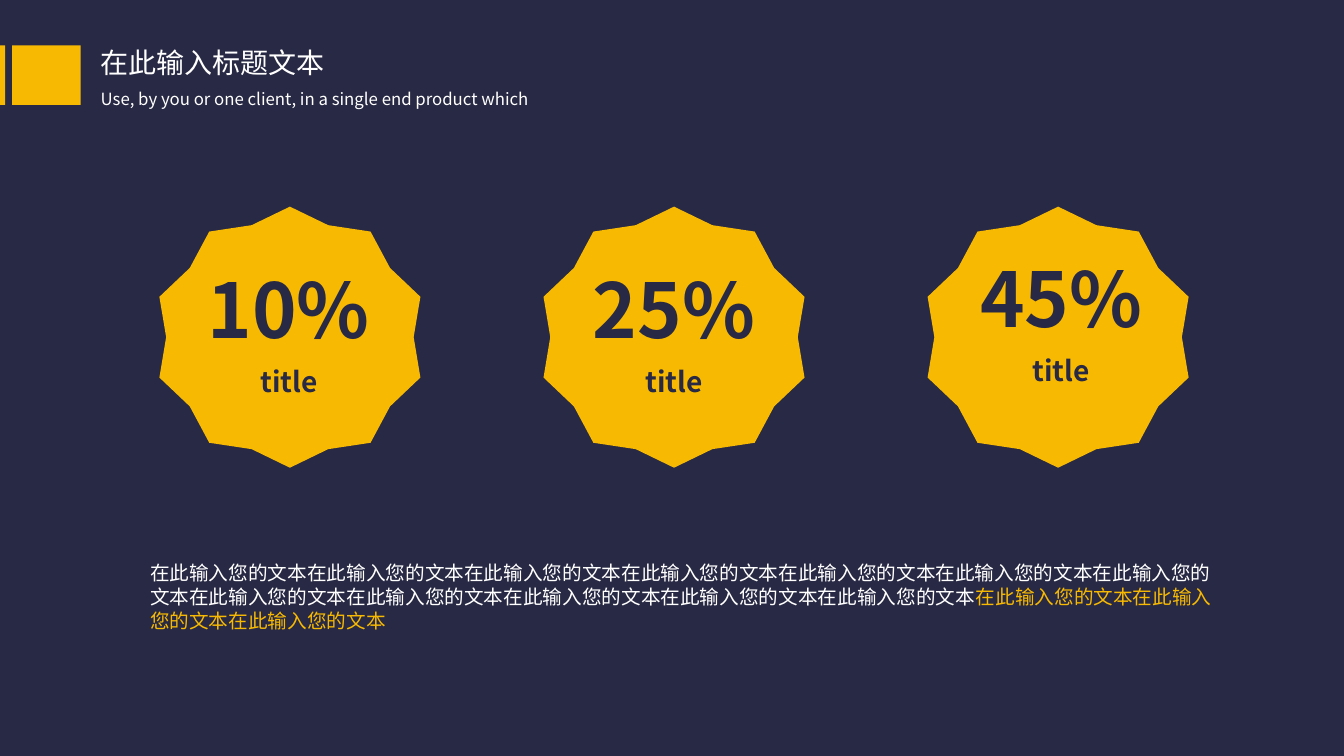
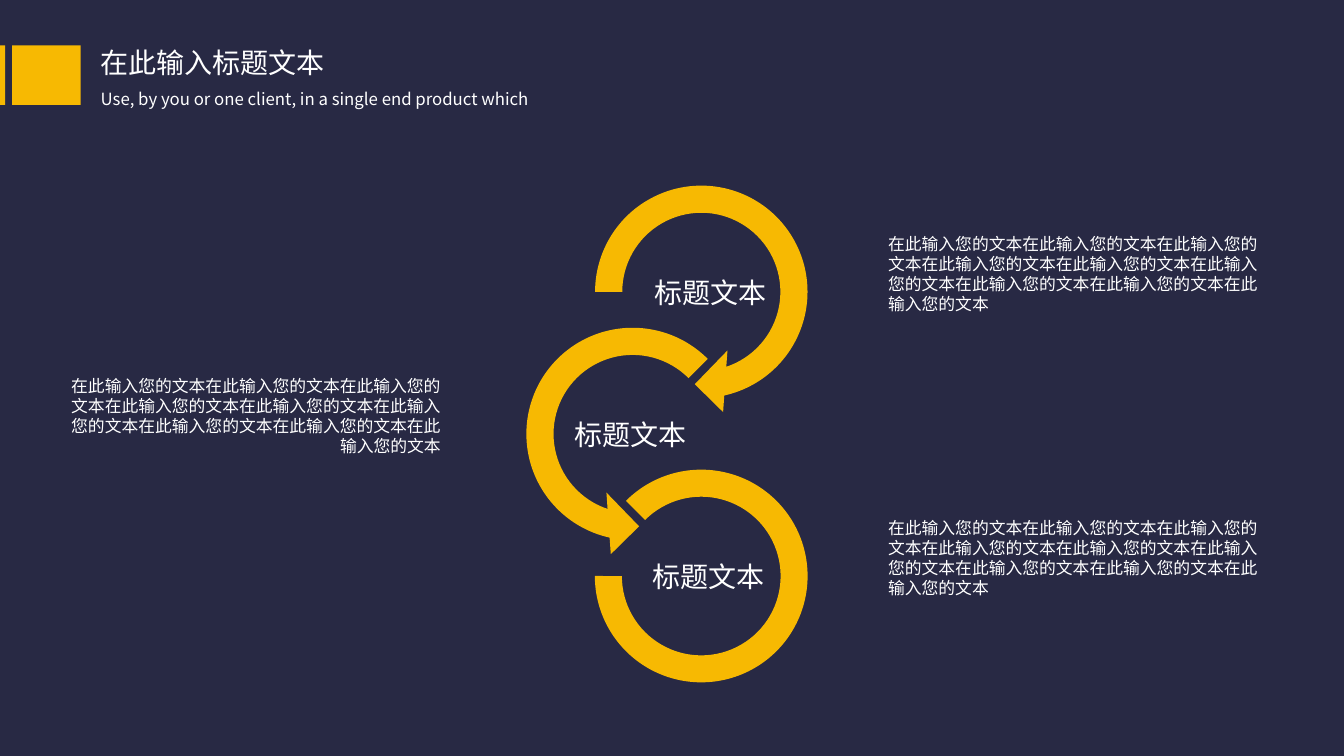
import dataclasses

import lxml.etree
import pptx
import pptx.dml.color
import pptx.enum.shapes
import pptx.enum.text
import pptx.oxml.ns
import pptx.util

SHAPE = pptx.enum.shapes.MSO_SHAPE
ALIGN = pptx.enum.text.PP_ALIGN


@dataclasses.dataclass(frozen=True)
class Theme:
    navy: str = "282944"
    gold: str = "F7B902"
    white: str = "FFFFFF"
    font: str = "Noto Sans CJK SC"
    figure: int = 54
    title: int = 20
    body: int = 14
    small: int = 12


THEME = Theme()
SLIDE_WIDTH = pptx.util.Inches(13.33)
SLIDE_HEIGHT = pptx.util.Inches(7.5)

# Content; every length is a percentage of the slide's width or height
TITLE = "在此输入标题文本"
SUBTITLE = "Use, by you or one client, in a single end product which"
FILLER = "在此输入您的文本"
HEADER_BLOCKS = [(0, 0.38), (0.9, 5.1)]  # left, width

# Figure, caption, shift from the badge centre, top of the figure
BADGES = [
    ("10%", "title", -0.08, 34.13),
    ("25%", "title", 0, 34.13),
    ("45%", "title", 0.23, 32.67),
]
SUMMARY = [(FILLER * 12, THEME.white), (FILLER * 3, THEME.gold)]

RIGHT_TEXT = (65.34, ALIGN.LEFT)
LEFT_TEXT = (4.28, ALIGN.RIGHT)
# Shape, adjustments, centre, size, label left, side of the text
RINGS = [
    (SHAPE.CIRCULAR_ARROW, (0.11, 11.423, 45, 108, 0.125),
     52.18, 18.38, 47.94, RIGHT_TEXT),
    (SHAPE.LEFT_CIRCULAR_ARROW, (0.11, 11.423, 63, 189, 0.125),
     47.07, 18.38, 42.01, LEFT_TEXT),
    (SHAPE.BLOCK_ARC, (135, 108, 0.127),
     52.18, 15.83, 47.79, RIGHT_TEXT),
]
RING_LABEL = "标题文本"


def across(share):
    return round(SLIDE_WIDTH * share / 100)


def down(share):
    return round(SLIDE_HEIGHT * share / 100)


def add_gold_shape(slide, kind, left, top, width, height, adjustments=()):
    shape = slide.shapes.add_shape(kind, left, top, width, height)
    shape.shadow.inherit = False
    shape.fill.solid()
    shape.fill.fore_color.rgb = pptx.dml.color.RGBColor.from_string(THEME.gold)
    shape.line.fill.background()
    for index, value in enumerate(adjustments):
        shape.adjustments[index] = value


def add_centred_shape(slide, kind, centre_x, centre_y, size, adjustments):
    side = across(size)
    add_gold_shape(slide, kind, across(centre_x) - side // 2,
                   down(centre_y) - side // 2, side, side, adjustments)


def add_text(slide, runs, left, top, width, height, size,
             align=ALIGN.LEFT, bold=False):
    """Add one paragraph made of (text, colour) runs."""
    box = slide.shapes.add_textbox(
        across(left), down(top), across(width), down(height))
    frame = box.text_frame
    frame.word_wrap = True
    frame.auto_size = pptx.enum.text.MSO_AUTO_SIZE.SHAPE_TO_FIT_TEXT
    paragraph = frame.paragraphs[0]
    paragraph.alignment = align
    for text, colour in runs:
        run = paragraph.add_run()
        run.text = text
        run.font.size = pptx.util.Pt(size)
        run.font.bold = bold
        run.font.color.rgb = pptx.dml.color.RGBColor.from_string(colour)
        run.font.name = THEME.font
        # East Asian characters take their typeface from a:ea
        lxml.etree.SubElement(run.font._element, pptx.oxml.ns.qn("a:ea"),
                              typeface=THEME.font)


def add_slide(presentation):
    """Add a blank slide with the shared header."""
    slide = presentation.slides.add_slide(presentation.slide_layouts[6])
    add_text(slide, [(TITLE, THEME.white)], 6.75, 5.33, 29.71, 5.87,
             THEME.title)
    add_text(slide, [(SUBTITLE, THEME.white)], 6.75, 11.07, 50.04, 4,
             THEME.small)
    for left, width in HEADER_BLOCKS:
        add_gold_shape(slide, SHAPE.RECTANGLE, across(left), down(6),
                       across(width), down(7.87))
    return slide


def build_badges(presentation):
    slide = add_slide(presentation)
    figure_width, figure_height, caption_width = 14.33, 13.47, 12.68
    for column, (figure, caption, shift, top) in enumerate(BADGES):
        centre = 21.57 + 28.58 * column
        add_centred_shape(slide, SHAPE.STAR_10_POINT, centre, 44.6, 19.43,
                          (0.451, 1.051))
        middle = centre + shift
        add_text(slide, [(figure, THEME.navy)], middle - figure_width / 2,
                 top, figure_width, figure_height, THEME.figure,
                 ALIGN.CENTER, True)
        add_text(slide, [(caption, THEME.navy)], middle - caption_width / 2,
                 top + figure_height, caption_width, 5.87, THEME.title,
                 ALIGN.CENTER, True)
    add_text(slide, SUMMARY, 10.43, 73.6, 80.57, 10.8, THEME.body)


def build_rings(presentation):
    slide = add_slide(presentation)
    for row, ring in enumerate(RINGS):
        kind, adjustments, centre_x, size, label_left, side = ring
        text_left, align = side
        centre_y = 38.6 + 18.8 * row
        add_centred_shape(slide, kind, centre_x, centre_y, size, adjustments)
        add_text(slide, [(RING_LABEL, THEME.white)], label_left,
                 centre_y - 2.8, 10, 5.87, THEME.title)
        add_text(slide, [(FILLER * 9, THEME.white)], text_left,
                 centre_y - 8.4, 29.26, 12.13, THEME.small, align)


def main():
    presentation = pptx.Presentation()
    presentation.slide_width = SLIDE_WIDTH
    presentation.slide_height = SLIDE_HEIGHT
    # Shared background
    background = presentation.slide_master.background.fill
    background.solid()
    background.fore_color.rgb = pptx.dml.color.RGBColor.from_string(THEME.navy)
    build_badges(presentation)
    build_rings(presentation)
    presentation.save("out.pptx")


if __name__ == "__main__":
    main()
